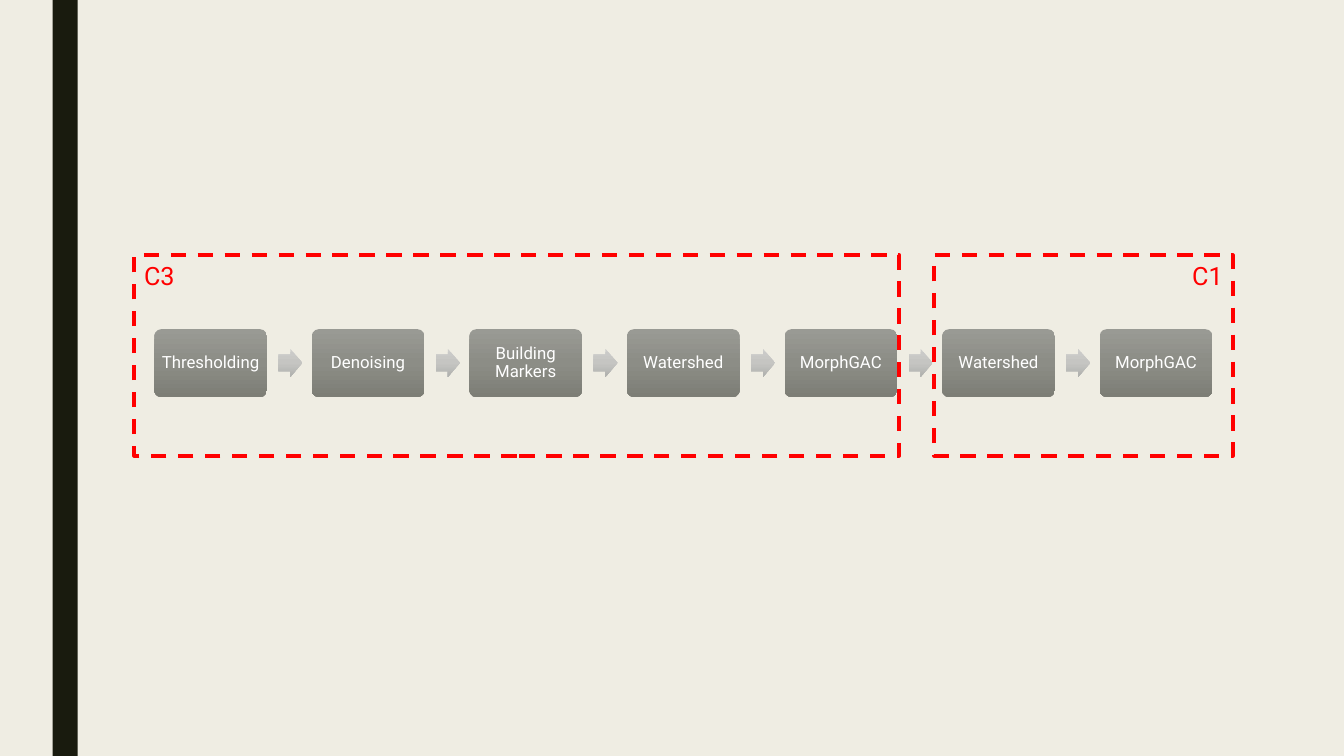
from copy import deepcopy
from dataclasses import dataclass

from pptx import Presentation
from pptx import util as u
from pptx.dml.color import RGBColor
from pptx.enum import dml, shapes, text
from pptx.oxml.ns import qn


@dataclass(frozen=True)
class Theme:
    """Colours, font and type sizes of the slide."""
    paper: str = "EFEDE3"
    bar: str = "191B0E"
    mark: str = "FF0000"
    label: str = "FFFFFF"
    step: tuple = ("999A94", "8C8D86", "7D7E76")
    arrow: tuple = ("CDCDCB", "C5C5C2", "AFB0AD")
    font: str = "Roboto"
    small: float = 12
    large: float = 18


def write(shape, words, size, color, align="LEFT", anchor="TOP", space=1.0, inset=None):
    """Put formatted words into a shape."""
    frame = shape.text_frame
    frame.word_wrap = True
    frame.vertical_anchor = getattr(text.MSO_ANCHOR, anchor)
    if inset is not None:
        frame.margin_left = frame.margin_right = u.Pt(inset)
        frame.margin_top = frame.margin_bottom = u.Pt(inset)
    para = frame.paragraphs[0]
    para.alignment = getattr(text.PP_ALIGN, align)
    para.line_spacing = space
    run = para.add_run()
    run.text = words
    run.font.name = Theme.font
    run.font.size = u.Pt(size)
    run.font.color.rgb = RGBColor.from_string(color)


class Board:
    """Draws themed elements on the current slide."""

    def __init__(self, slide, theme):
        """Keep the slide and theme, and paint the paper."""
        self.slide, self.theme = slide, theme
        self.paint(slide.background.fill, theme.paper)

    def paint(self, fill, color):
        """Fill with one colour."""
        fill.solid()
        fill.fore_color.rgb = RGBColor.from_string(color)

    def shade(self, shape, colors):
        """Fill from top to bottom with three evenly spaced colours."""
        fill = shape.fill
        fill.gradient()
        fill.gradient_angle = 270
        stops = shape.element.spPr.find(qn("a:gradFill")).find(qn("a:gsLst"))
        stops.append(deepcopy(stops[-1]))
        for i, (stop, color) in enumerate(zip(fill.gradient_stops, colors)):
            stop.position = i / 2
            stop.color.rgb = RGBColor.from_string(color)

    def form(self, kind, box, *adjust):
        """Add a preset shape without line or shadow."""
        shape = self.slide.shapes.add_shape(
            getattr(shapes.MSO_SHAPE, kind), *map(u.Pt, box))
        shape.shadow.inherit = False
        shape.line.fill.background()
        for i, value in enumerate(adjust):
            shape.adjustments[i] = value
        return shape

    def bar(self, box):
        """Add the dark side bar."""
        self.paint(self.form("RECTANGLE", box).fill, self.theme.bar)

    def step(self, words, box):
        """Add one labelled step."""
        shape = self.form("ROUNDED_RECTANGLE", box, 0.1)
        self.shade(shape, self.theme.step)
        write(shape, words, self.theme.small, self.theme.label,
              align="CENTER", anchor="MIDDLE", space=0.9, inset=3.6)

    def arrow(self, box):
        """Add a block arrow between steps."""
        self.shade(self.form("RIGHT_ARROW", box, 0.6, 0.5), self.theme.arrow)

    def zone(self, words, box, align):
        """Add a dashed frame with a corner label."""
        shape = self.form("RECTANGLE", box)
        shape.fill.background()
        self.paint(shape.line.fill, self.theme.mark)
        shape.line.width = u.Pt(2.75)
        shape.line.dash_style = dml.MSO_LINE.DASH
        write(shape, words, self.theme.large, self.theme.mark, align=align)


def main():
    """Build and save the slide."""
    deck = Presentation()
    deck.slide_width, deck.slide_height = u.Pt(960), u.Pt(540)
    board = Board(deck.slides.add_slide(deck.slide_layouts[6]), Theme())
    board.bar((37.5, 0, 18, 540))

    left, pitch = 110.2, 112.56
    steps = ("Thresholding", "Denoising", "Building Markers", "Watershed",
             "MorphGAC", "Watershed", "MorphGAC")
    for i, words in enumerate(steps):
        x = left + i * pitch
        if i:
            board.arrow((x - 24, 249.2, 17.2, 20))
        board.step(words, (x, 235.2, 80.5, 48.3))

    board.zone("C3", (95.8, 182.2, 546.5, 143.3), "LEFT")
    board.zone("C1", (667.4, 182.2, 213.1, 143.3), "RIGHT")
    deck.save("out.pptx")


if __name__ == "__main__":
    main()
